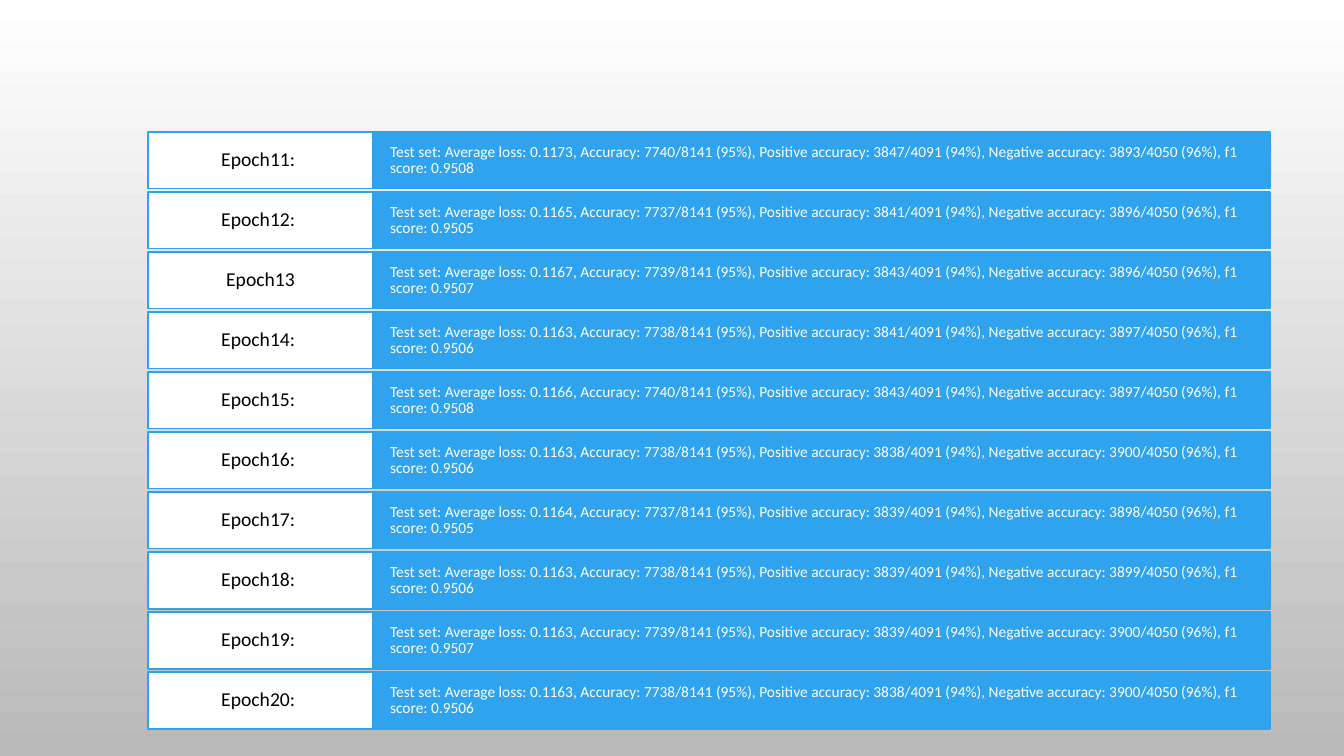
from dataclasses import dataclass

from pptx import Presentation
from pptx.dml.color import RGBColor
from pptx.enum.shapes import MSO_SHAPE
from pptx.enum.text import MSO_ANCHOR, PP_ALIGN
from pptx.util import Pt

RECT = MSO_SHAPE.RECTANGLE
MIDDLE = MSO_ANCHOR.MIDDLE
LEFT, CENTER = PP_ALIGN.LEFT, PP_ALIGN.CENTER


@dataclass(frozen=True)
class Theme:
    font: str = "Calibri"
    blue: str = "2FA3EE"
    white: str = "FFFFFF"
    black: str = "000000"
    gray: str = "B9B9B9"
    label: float = 14
    body: float = 11
    line: float = 1.25
    lead: float = 0.9


class Deck:
    """Holds the theme and the current slide."""

    def __init__(self, theme, slide):
        self.theme = theme
        self.slide = slide

    def fade(self, top, base):
        fill = self.slide.background.fill
        fill.gradient()
        fill.gradient_angle = 270
        for stop, color in zip(fill.gradient_stops, (top, base)):
            stop.color.rgb = RGBColor.from_string(color)

    def box(self, place, fill, text, size, color, align, inset):
        shape = self.slide.shapes.add_shape(RECT, *map(Pt, place))
        shape.shadow.inherit = False
        shape.fill.solid()
        shape.fill.fore_color.rgb = RGBColor.from_string(fill)
        shape.line.color.rgb = RGBColor.from_string(self.theme.blue)
        shape.line.width = Pt(self.theme.line)

        frame = shape.text_frame
        frame.word_wrap = True
        frame.vertical_anchor = MIDDLE
        frame.margin_left = frame.margin_right = Pt(inset[0])
        frame.margin_top = frame.margin_bottom = Pt(inset[1])
        para = frame.paragraphs[0]
        para.alignment = align
        para.line_spacing = self.theme.lead
        run = para.add_run()
        run.text = text
        run.font.name = self.theme.font
        run.font.size = Pt(size)
        run.font.color.rgb = RGBColor.from_string(color)

    def row(self, top, label, result):
        t = self.theme
        self.box((SPLIT, top, WIDE, HIGH), t.blue, result,
                 t.body, t.white, LEFT, (12.24, 10.08))
        self.box((EDGE, top, SPLIT - EDGE, HIGH), t.white, label,
                 t.label, t.black, CENTER, (8.64, 4.32))


# Row grid, in points
EDGE, SPLIT, WIDE = 105.84, 266.4, 640.8
TOP, HIGH, STEP = 94.4, 40.32, 42.87

# Label, average loss, positive hits, negative hits, f1 score
EPOCHS = [
    ("Epoch11: ", "0.1173", 3847, 3893, "0.9508"),
    ("Epoch12: ", "0.1165", 3841, 3896, "0.9505"),
    ("Epoch13", "0.1167", 3843, 3896, "0.9507"),
    ("Epoch14: ", "0.1163", 3841, 3897, "0.9506"),
    ("Epoch15: ", "0.1166", 3843, 3897, "0.9508"),
    ("Epoch16: ", "0.1163", 3838, 3900, "0.9506"),
    ("Epoch17: ", "0.1164", 3839, 3898, "0.9505"),
    ("Epoch18: ", "0.1163", 3839, 3899, "0.9506"),
    ("Epoch19: ", "0.1163", 3839, 3900, "0.9507"),
    ("Epoch20: ", "0.1163", 3838, 3900, "0.9506"),
]


def main():
    prs = Presentation()
    prs.slide_width, prs.slide_height = Pt(960), Pt(540)
    theme = Theme()
    deck = Deck(theme, prs.slides.add_slide(prs.slide_layouts[6]))

    # Background
    deck.fade(theme.white, theme.gray)

    # One row per epoch
    for i, (label, loss, pos, neg, score) in enumerate(EPOCHS):
        result = (f"Test set: Average loss: {loss}, "
                  f"Accuracy: {pos + neg}/8141 (95%), "
                  f"Positive accuracy: {pos}/4091 (94%), "
                  f"Negative accuracy: {neg}/4050 (96%), "
                  f"f1 score: {score}")
        deck.row(TOP + i * STEP, label, result)

    prs.save("out.pptx")


if __name__ == "__main__":
    main()
